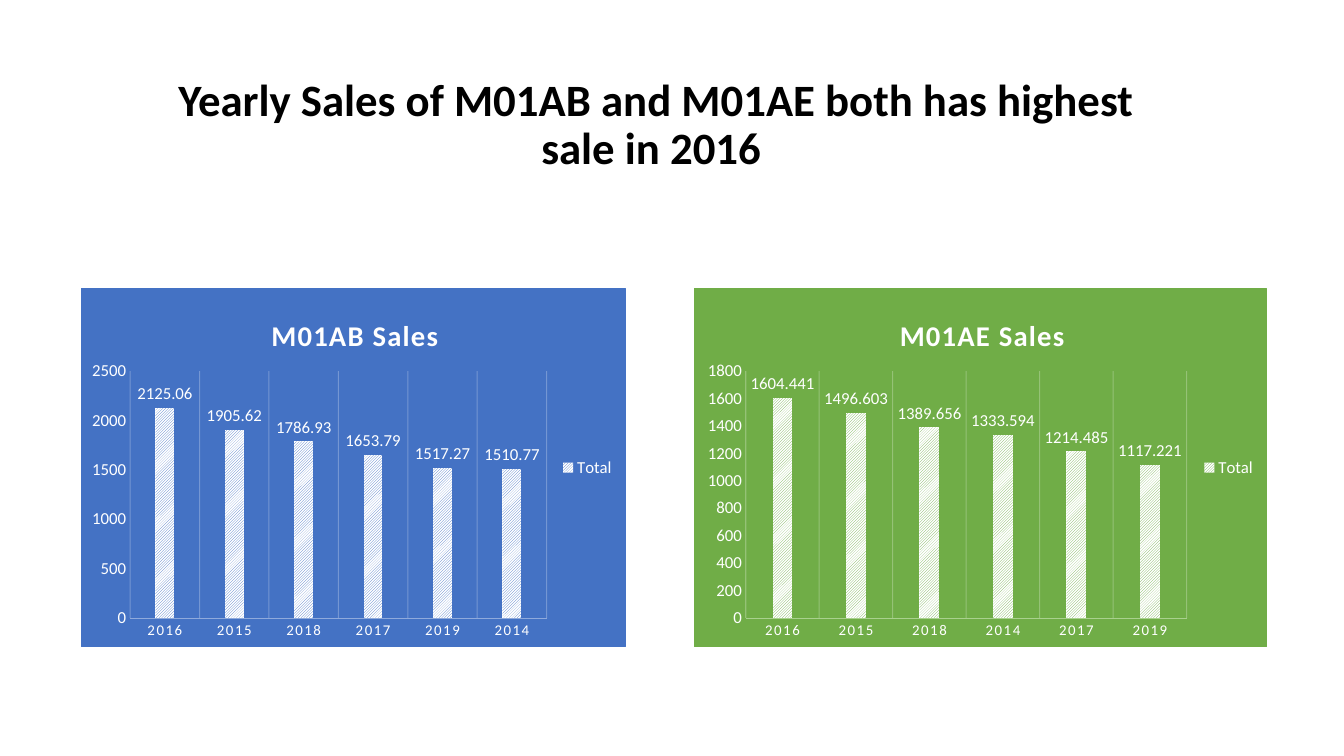
"""Build a slide with two column charts of yearly sales."""
from pptx import Presentation
from pptx.chart.data import CategoryChartData
from pptx.dml.color import RGBColor
from pptx.enum.chart import XL_CHART_TYPE, XL_LABEL_POSITION, XL_LEGEND_POSITION, XL_TICK_MARK
from pptx.enum.dml import MSO_PATTERN
from pptx.enum.text import MSO_ANCHOR, MSO_AUTO_SIZE, PP_ALIGN
from pptx.oxml import parse_xml
from pptx.oxml.ns import nsdecls, qn
from pptx.util import Inches, Pt

HEADLINE = "Yearly Sales of M01AB and M01AE both has highest sale in 2016 "
FONT = "Calibri"
WHITE = "FFFFFF"
CHART_TOP, CHART_HEIGHT = 2.86, 3.56
PANELS = [
    {"title": "M01AB Sales", "left": 0.8, "width": 5.41, "fill": "4472C4", "axis": "8FAADC",
     "top_value": 2500, "step": 500, "title_at": (0.34, 0.06), "plot": (0.09, 0.23, 0.765, 0.69),
     "sales": {"2016": 2125.06, "2015": 1905.62, "2018": 1786.93,
               "2017": 1653.79, "2019": 1517.27, "2014": 1510.77}},
    {"title": "M01AE Sales", "left": 6.88, "width": 5.69, "fill": "70AD47", "axis": "A9D18E",
     "top_value": 1800, "step": 200, "title_at": (0.35, 0.06), "plot": (0.09, 0.23, 0.77, 0.69),
     "sales": {"2016": 1604.441, "2015": 1496.603, "2018": 1389.656,
               "2014": 1333.594, "2017": 1214.485, "2019": 1117.221}},
]


def rgb(color):
    return RGBColor.from_string(color)


def style_font(font, size, color=WHITE, bold=False):
    font.name, font.size, font.bold = FONT, Pt(size), bold
    font.color.rgb = rgb(color)


def set_layout(parent, index, fractions, target=""):
    for layout in parent.findall(qn("c:layout")):
        parent.remove(layout)
    modes = '<c:xMode val="edge"/><c:yMode val="edge"/>'
    places = "".join(f'<c:{key} val="{value}"/>' for key, value in zip("xywh", fractions))
    parent.insert(index, parse_xml(
        f'<c:layout {nsdecls("c")}><c:manualLayout>{target}{modes}{places}'
        '</c:manualLayout></c:layout>'))


def fill_chart_area(chart, color):
    solid = f'<a:solidFill><a:srgbClr val="{color}"/></a:solidFill>'
    area = parse_xml(f'<c:spPr {nsdecls("c", "a")}>{solid}<a:ln w="9525">{solid}</a:ln></c:spPr>')
    chart._chartSpace.find(qn("c:chart")).addnext(area)


def style_axes(chart, panel):
    years, amounts = chart.category_axis, chart.value_axis
    for axis, size in ((years, 10.6), (amounts, 12)):
        axis.major_tick_mark = axis.minor_tick_mark = XL_TICK_MARK.NONE
        style_font(axis.tick_labels.font, size)
    years.tick_labels.font._rPr.set("spc", "120")
    years.format.line.color.rgb = rgb(panel["axis"])
    years.format.line.width = Pt(0.25)
    years.has_major_gridlines = True
    grid = years.major_gridlines.format.line
    grid.color.rgb = rgb(WHITE)
    grid.width = Pt(0.75)
    white = years.major_gridlines._xAx.find(qn("c:majorGridlines")).find(f".//{qn('a:srgbClr')}")
    white.append(parse_xml(f'<a:alpha {nsdecls("a")} val="25000"/>'))
    amounts.has_major_gridlines = False
    amounts.format.line.fill.background()
    amounts.minimum_scale, amounts.maximum_scale = 0, panel["top_value"]
    amounts.major_unit = panel["step"]


def style_columns(chart, color):
    plot = chart.plots[0]
    plot.gap_width, plot.overlap, plot.vary_by_categories = 269, -20, False
    fill = plot.series[0].format.fill
    fill.patterned()
    fill.pattern = MSO_PATTERN.LIGHT_UPWARD_DIAGONAL
    fill.fore_color.rgb, fill.back_color.rgb = rgb(color), rgb(WHITE)
    plot.has_data_labels = True
    labels = plot.data_labels
    labels.show_value, labels.position = True, XL_LABEL_POSITION.OUTSIDE_END
    style_font(labels.font, 12)


def add_sales_chart(slide, panel):
    sales = CategoryChartData()
    sales.categories = list(panel["sales"])
    sales.add_series("Total", list(panel["sales"].values()))
    chart = slide.shapes.add_chart(
        XL_CHART_TYPE.COLUMN_CLUSTERED, Inches(panel["left"]), Inches(CHART_TOP),
        Inches(panel["width"]), Inches(CHART_HEIGHT), sales).chart
    style_font(chart.font, 10, "000000")
    fill_chart_area(chart, panel["fill"])

    chart.has_title = True
    caption = chart.chart_title.text_frame.paragraphs[0]
    caption.text = panel["title"]
    style_font(caption.runs[0].font, 20.5, bold=True)
    caption.runs[0].font._rPr.set("spc", "100")
    set_layout(chart.chart_title._element, 1, panel["title_at"])

    chart.has_legend = True
    chart.legend.position = XL_LEGEND_POSITION.RIGHT
    chart.legend.include_in_layout = False
    style_font(chart.legend.font, 12)

    style_axes(chart, panel)
    style_columns(chart, panel["fill"])
    plot_area = chart._chartSpace.find(f".//{qn('c:plotArea')}")
    set_layout(plot_area, 0, panel["plot"], '<c:layoutTarget val="inner"/>')


def add_headline(slide):
    headline = slide.shapes.title
    headline.left, headline.top = Inches(1.51), Inches(0.72)
    headline.width, headline.height = Inches(10), Inches(1.81)
    frame = headline.text_frame
    frame.text = HEADLINE
    frame.word_wrap, frame.auto_size = True, MSO_AUTO_SIZE.NONE
    frame.vertical_anchor = MSO_ANCHOR.TOP
    paragraph = frame.paragraphs[0]
    paragraph.alignment = PP_ALIGN.CENTER
    paragraph.line_spacing, paragraph.space_before = 0.9, Pt(10)
    style_font(paragraph.runs[0].font, 32, "000000", True)


def main():
    deck = Presentation()
    deck.slide_width, deck.slide_height = Inches(13.33), Inches(7.5)
    slide = deck.slides.add_slide(deck.slide_layouts[5])
    add_headline(slide)
    for panel in PANELS:
        add_sales_chart(slide, panel)
    deck.save("out.pptx")


if __name__ == "__main__":
    main()
